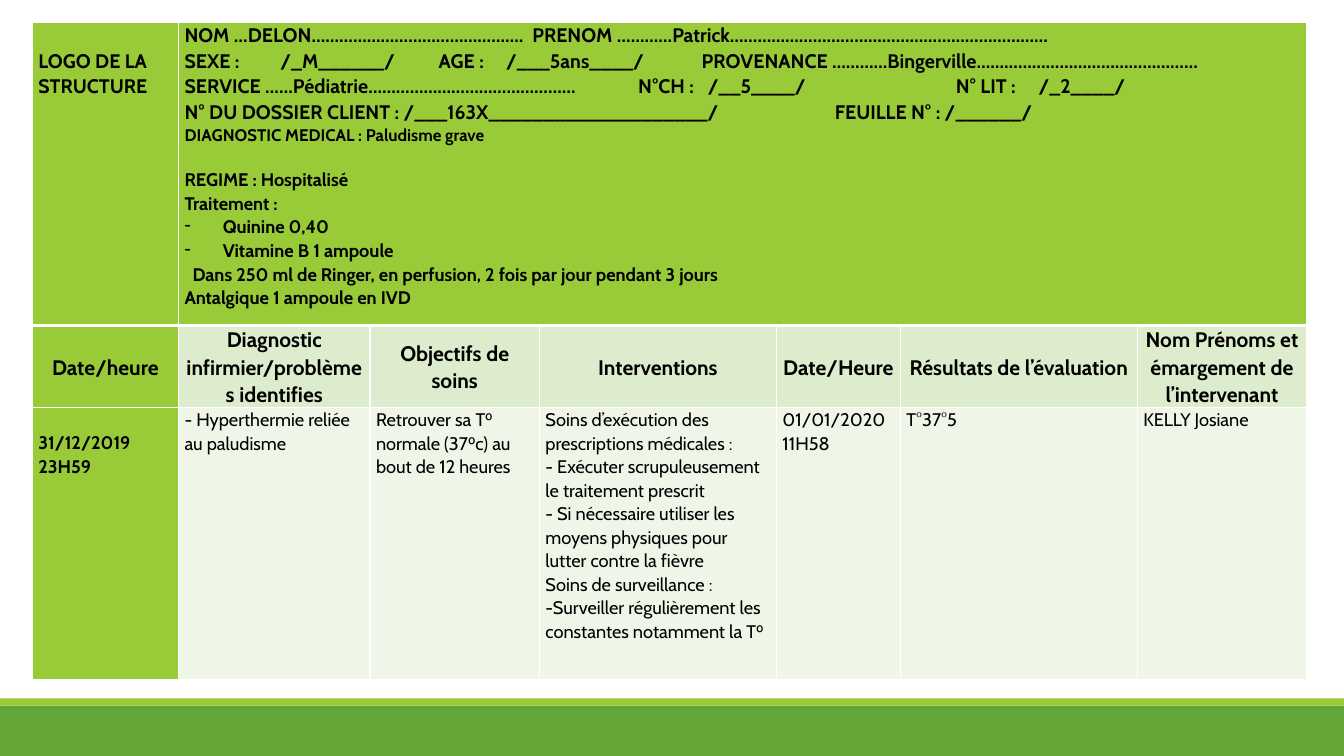
from dataclasses import dataclass

from lxml import etree
from pptx import Presentation
from pptx.dml.color import RGBColor
from pptx.enum.shapes import MSO_SHAPE
from pptx.enum.text import MSO_ANCHOR, PP_ALIGN
from pptx.oxml.ns import qn
from pptx.util import Inches, Pt

RECT = MSO_SHAPE.RECTANGLE
TOP, MIDDLE = MSO_ANCHOR.TOP, MSO_ANCHOR.MIDDLE
LEFT, CENTER, JUSTIFY = PP_ALIGN.LEFT, PP_ALIGN.CENTER, PP_ALIGN.JUSTIFY


@dataclass(frozen=True)
class Theme:
    font: str = "Cabin"
    text: str = "000000"
    border: str = "FFFFFF"
    lime: str = "99CB38"
    green: str = "63A537"
    heading_fill: str = "DEECCE"
    body_fill: str = "EFF6E8"
    form_size: float = 14
    diagnosis_size: float = 12
    body_size: float = 13
    heading_size: float = 15
    spacing: float = 1.07


THEME = Theme()

COLUMNS = [1.45, 1.9, 1.68, 2.35, 1.23, 2.35, 1.68]
ROWS = [3.01, 0.8, 2.7]

# Patient form: text with tabs, tab stops in inches
FORM_LINES = [
    ("NOM …DELON……………………………………….\tPRENOM …………Patrick……………………………………………………………", [3.45]),
    ("SEXE :\t/_M______/\tAGE :\t/___5ans____/\tPROVENANCE …………Bingerville…………………………………………",
     [0.95, 2.52, 3.19, 5.13]),
    ("SERVICE ……Pédiatrie………………………………………\tN°CH :\t/__5____/\tN° LIT :\t/_2____/",
     [4.5, 5.19, 7.65, 8.47]),
    ("N° DU DOSSIER CLIENT : /___163X____________________/\tFEUILLE N° : /______/", [6.45]),
]
TREATMENTS = ["Quinine 0,40", "Vitamine B 1 ampoule"]

HEADINGS = [
    "Date/heure", "Diagnostic infirmier/problèmes identifies", "Objectifs de soins",
    "Interventions", "Date/Heure", "Résultats de l’évaluation",
    "Nom Prénoms et émargement de l’intervenant",
]
CARE_ENTRY = [
    ["31/12/2019", "23H59"],
    ["- Hyperthermie reliée au paludisme"],
    ["Retrouver sa T⁰ normale (37⁰c) au bout de 12 heures"],
    ["Soins d’exécution des prescriptions médicales :",
     "- Exécuter scrupuleusement le traitement prescrit",
     "- Si nécessaire utiliser les moyens physiques pour lutter contre la fièvre",
     "Soins de surveillance :",
     "-Surveiller régulièrement les constantes notamment la T⁰"],
    ["01/01/2020", "11H58"],
    ["T°37°5"],
    ["KELLY Josiane"],
]


def add_bar(s, top, height, color):
    bar = s.shapes.add_shape(RECT, 0, Inches(top), Inches(13.33), Inches(height))
    bar.shadow.inherit = False
    bar.fill.solid()
    bar.fill.fore_color.rgb = RGBColor.from_string(color)
    bar.line.fill.background()


def set_borders(cell, top=1, bottom=1):
    tcPr = cell._tc.get_or_add_tcPr()
    widths = {"a:lnL": 1, "a:lnR": 1, "a:lnT": top, "a:lnB": bottom}
    for i, (tag, width) in enumerate(widths.items()):
        ln = etree.Element(qn(tag), w=str(Pt(width)))
        fill = etree.SubElement(ln, qn("a:solidFill"))
        etree.SubElement(fill, qn("a:srgbClr"), val=THEME.border)
        tcPr.insert(i, ln)


def style_cell(cell, color, anchor=TOP, margin_top=0):
    cell.fill.solid()
    cell.fill.fore_color.rgb = RGBColor.from_string(color)
    cell.margin_left = cell.margin_right = Inches(0.06)
    cell.margin_top, cell.margin_bottom = Inches(margin_top), 0
    cell.vertical_anchor = anchor


def add_paragraph(cell, text, size, bold=False, align=LEFT, before=0,
                  tabs=(), bullet=None, indent=0):
    tf = cell.text_frame
    p = tf.paragraphs[0]
    if p.runs:
        p = tf.add_paragraph()
    pPr = p._p.get_or_add_pPr()
    if bullet:
        etree.SubElement(pPr, qn("a:buChar"), char=bullet)
        pPr.set("indent", str(-Inches(indent)))
    if indent:
        pPr.set("marL", str(Inches(indent)))
    if tabs:
        tab_list = etree.SubElement(pPr, qn("a:tabLst"))
        for pos in tabs:
            etree.SubElement(tab_list, qn("a:tab"), pos=str(Inches(pos)), algn="l")
    p.alignment = align
    p.line_spacing = THEME.spacing
    if before:
        p.space_before = Pt(before)
    r = p.add_run()
    r.text = text
    r.font.name = THEME.font
    r.font.size = Pt(size)
    r.font.bold = bold
    r.font.color.rgb = RGBColor.from_string(THEME.text)


def fill_patient_form(cell):
    def add_line(text, size=THEME.body_size, **options):
        add_paragraph(cell, text, size, bold=True, **options)

    for text, tabs in FORM_LINES:
        add_line(text, THEME.form_size, tabs=tabs)
    add_line("DIAGNOSTIC MEDICAL : Paludisme grave", THEME.diagnosis_size, align=JUSTIFY)
    add_line("REGIME : Hospitalisé", align=JUSTIFY, before=15.5)
    add_line("Traitement :", align=JUSTIFY)
    for treatment in TREATMENTS:
        add_line(treatment, align=JUSTIFY, bullet="-", indent=0.38)
    add_line("Dans 250 ml de Ringer, en perfusion, 2 fois par jour pendant 3 jours",
             align=JUSTIFY, indent=0.08)
    add_line("Antalgique 1 ampoule en IVD")


def add_care_table(s):
    frame = s.shapes.add_table(len(ROWS), len(COLUMNS), Inches(0.32), Inches(0.22),
                               Inches(sum(COLUMNS)), Inches(sum(ROWS)))
    table = frame.table
    table.first_row = table.horz_banding = False
    for column, width in zip(table.columns, COLUMNS):
        column.width = Inches(width)
    for row, height in zip(table.rows, ROWS):
        row.height = Inches(height)

    # Patient header
    logo, form = table.cell(0, 0), table.cell(0, 1)
    form.merge(table.cell(0, len(COLUMNS) - 1))
    style_cell(logo, THEME.lime, margin_top=0.25)
    add_paragraph(logo, "LOGO DE LA STRUCTURE", THEME.form_size, bold=True)
    style_cell(form, THEME.lime)
    fill_patient_form(form)

    # Column headings and care entry
    for col, (heading, lines) in enumerate(zip(HEADINGS, CARE_ENTRY)):
        is_date = col == 0
        head, body = table.cell(1, col), table.cell(2, col)
        style_cell(head, THEME.lime if is_date else THEME.heading_fill, MIDDLE)
        add_paragraph(head, heading, THEME.heading_size, bold=True, align=CENTER)
        style_cell(body, THEME.lime if is_date else THEME.body_fill,
                   margin_top=0.23 if is_date else 0)
        for line in lines:
            add_paragraph(body, line, THEME.body_size, bold=is_date)

        # Thick rule under the patient header
        set_borders(table.cell(0, col), bottom=3)
        set_borders(head, top=3)
        set_borders(body)


def main():
    prs = Presentation()
    prs.slide_width, prs.slide_height = Inches(13.33), Inches(7.5)
    s = prs.slides.add_slide(prs.slide_layouts[6])
    # Footer bars
    add_bar(s, 7, 0.5, THEME.green)
    add_bar(s, 6.93, 0.07, THEME.lime)
    add_care_table(s)
    prs.save("out.pptx")


if __name__ == "__main__":
    main()
